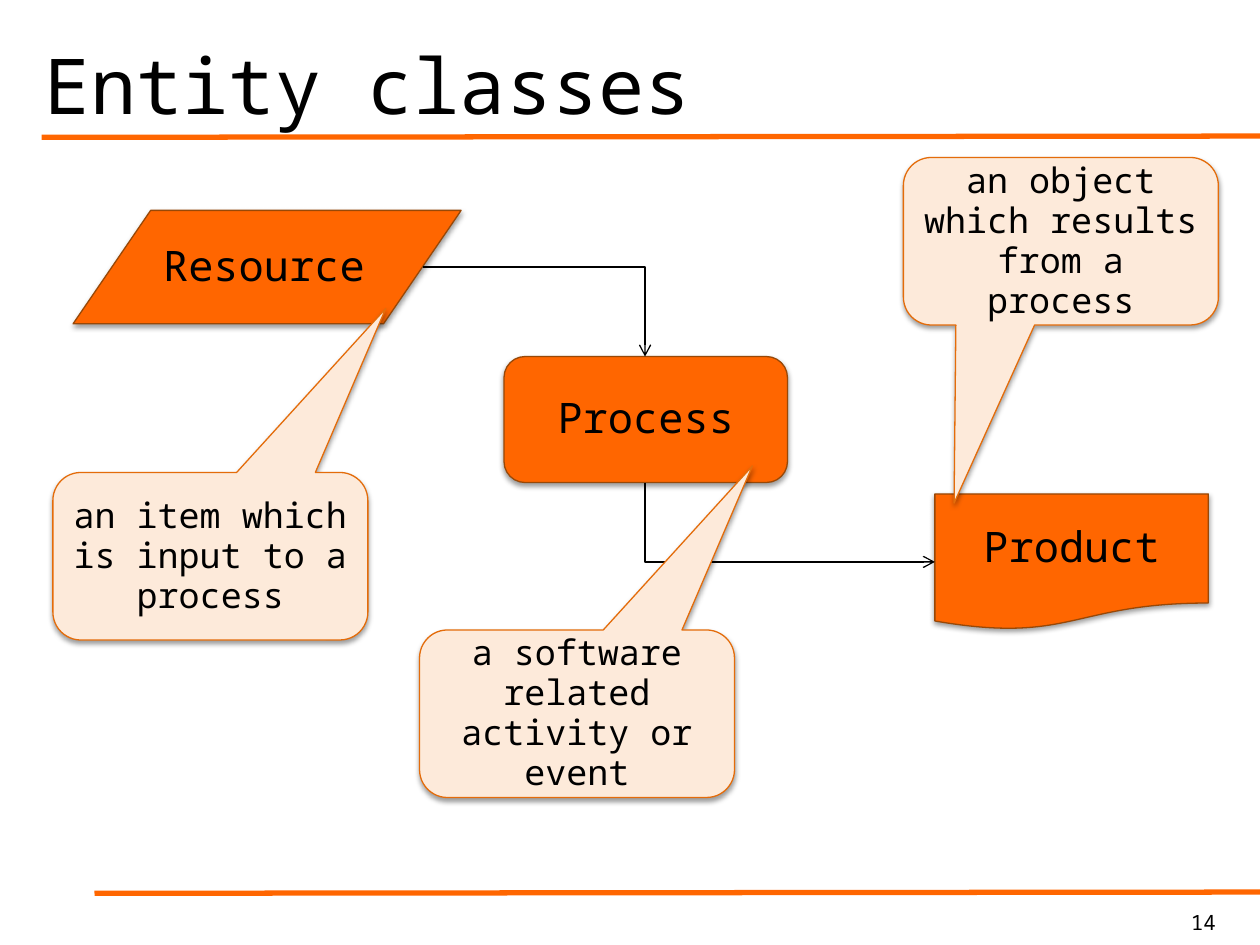
import pptx
import pptx.dml.color
import pptx.enum.shapes
import pptx.enum.text
import pptx.oxml
import pptx.oxml.ns
import pptx.util
from lxml import etree

Inches = pptx.util.Inches
Pt = pptx.util.Pt
RGBColor = pptx.dml.color.RGBColor
Shape = pptx.enum.shapes.MSO_SHAPE
Connector = pptx.enum.shapes.MSO_CONNECTOR
Align = pptx.enum.text.PP_ALIGN
qn = pptx.oxml.ns.qn

BLACK = RGBColor(0x00, 0x00, 0x00)
ORANGE = RGBColor(0xFF, 0x66, 0x00)
BROWN = RGBColor(0x98, 0x48, 0x07)
PEACH = RGBColor(0xFD, 0xEA, 0xDA)
DARK_ORANGE = RGBColor(0xE4, 0x6C, 0x0A)

FONT = "Noto Sans Mono"
ENTITY_STYLE = {"fill": ORANGE, "line": BROWN, "size": 24}
NOTE_STYLE = {"fill": PEACH, "line": DARK_ORANGE, "size": 20}
NOTE_SIZE = (2.5, 1.33)
NOTE_CORNER = 0.167


def set_text(shape, text, size, alignment, line_spacing=1.0,
             anchor=pptx.enum.text.MSO_ANCHOR.MIDDLE):
    frame = shape.text_frame
    frame.text = text
    frame_format = {
        "word_wrap": True,
        "auto_size": pptx.enum.text.MSO_AUTO_SIZE.NONE,
        "vertical_anchor": anchor,
    }
    for name, value in frame_format.items():
        setattr(frame, name, value)
    paragraph = frame.paragraphs[0]
    paragraph.alignment = alignment
    paragraph.line_spacing = line_spacing
    font = paragraph.runs[0].font
    for name, value in {"name": FONT, "size": Pt(size)}.items():
        setattr(font, name, value)
    font.color.rgb = BLACK


def add_title(slide, text):
    title = slide.shapes.title
    position = {"left": 0.25, "top": -0.12, "width": 9.41, "height": 1.57}
    for name, value in position.items():
        setattr(title, name, Inches(value))
    set_text(title, text, 44, Align.LEFT)


def add_page_number(slide, text):
    box = slide.shapes.add_textbox(
        Inches(8.25), Inches(7.17), Inches(1.5), Inches(0.33))
    set_text(box, text, 12, Align.RIGHT, anchor=pptx.enum.text.MSO_ANCHOR.TOP)


def add_shadow(shape):
    shape.shadow.inherit = False
    effects = shape.element.spPr.find(qn("a:effectLst"))
    shadow = etree.SubElement(
        effects, qn("a:outerShdw"), blurRad=str(Pt(3.1)), dist=str(Pt(1.6)),
        dir="5400000", rotWithShape="0")
    color = etree.SubElement(shadow, qn("a:srgbClr"), val=str(BLACK))
    etree.SubElement(color, qn("a:alpha"), val="38000")


def add_box(slide, kind, position, text, style, alignment=Align.CENTER):
    shape = slide.shapes.add_shape(kind, *map(Inches, position))
    shape.fill.solid()
    shape.fill.fore_color.rgb = style["fill"]
    shape.line.color.rgb = style["line"]
    shape.line.width = Pt(0.75)
    add_shadow(shape)
    set_text(shape, text, style["size"], alignment, 0.95)
    return shape


def add_note(slide, left, top, text, pointer):
    """Add a callout; pointer is its tip as fractions of the size from the centre."""
    note = add_box(slide, Shape.ROUNDED_RECTANGULAR_CALLOUT,
                   (left, top, *NOTE_SIZE), text, NOTE_STYLE)
    for index, value in enumerate((*pointer, NOTE_CORNER)):
        note.adjustments[index] = value


def add_line(slide, kind, start, end, color, width):
    line = slide.shapes.add_connector(kind, *map(Inches, (*start, *end)))
    line.line.color.rgb = color
    line.line.width = Pt(width)
    etree.SubElement(line.element.spPr, qn("a:effectLst"))
    return line


def add_elbow_arrow(slide, start, end, down_first=False):
    """Add an arrow with one corner, going right first unless down_first."""
    if down_first:
        # A quarter turn of the mirrored box makes the arrow leave downwards.
        center_x, center_y = ((a + b) / 2 for a, b in zip(start, end))
        half_width = (end[1] - start[1]) / 2
        half_height = (end[0] - start[0]) / 2
        start = (center_x + half_width, center_y - half_height)
        end = (center_x - half_width, center_y + half_height)
    arrow = add_line(slide, Connector.ELBOW, start, end, BLACK, 0.75)
    properties = arrow.element.spPr
    properties.find(qn("a:prstGeom")).set("prst", "bentConnector2")
    if down_first:
        properties.find(qn("a:xfrm")).set("rot", "16200000")
    etree.SubElement(properties.find(qn("a:ln")), qn("a:tailEnd"), type="arrow")


def main():
    presentation = pptx.Presentation()
    presentation.slide_width = Inches(10)
    presentation.slide_height = Inches(7.5)
    slide = presentation.slides.add_slide(presentation.slide_layouts[5])

    for left, top in ((0.33, 1.08), (0.75, 7.08)):
        add_line(slide, Connector.STRAIGHT, (10, top), (left, top + 0.01), ORANGE, 3)
    add_title(slide, "Entity classes")
    add_page_number(slide, "14")

    add_box(slide, Shape.ROUNDED_RECTANGLE, (4, 2.83, 2.25, 1),
            "Process", ENTITY_STYLE)
    add_box(slide, Shape.FLOWCHART_DATA, (0.58, 1.67, 3.08, 0.9),
            "Resource", ENTITY_STYLE, Align.LEFT)
    add_box(slide, Shape.FLOWCHART_DOCUMENT, (7.42, 3.92, 2.17, 1.08),
            "Product", ENTITY_STYLE)

    add_elbow_arrow(slide, (3.36, 2.12), (5.12, 2.83))
    add_elbow_arrow(slide, (5.12, 3.83), (7.42, 4.46), down_first=True)

    up_right, down_left = (0.557, -1.479), (-0.339, 1.563)
    add_note(slide, 0.42, 3.75, "an item which is input to a process", up_right)
    add_note(slide, 3.33, 5, "a software related activity or event", up_right)
    add_note(slide, 7.17, 1.25, "an object which results from a process", down_left)

    presentation.save("out.pptx")


if __name__ == "__main__":
    main()
